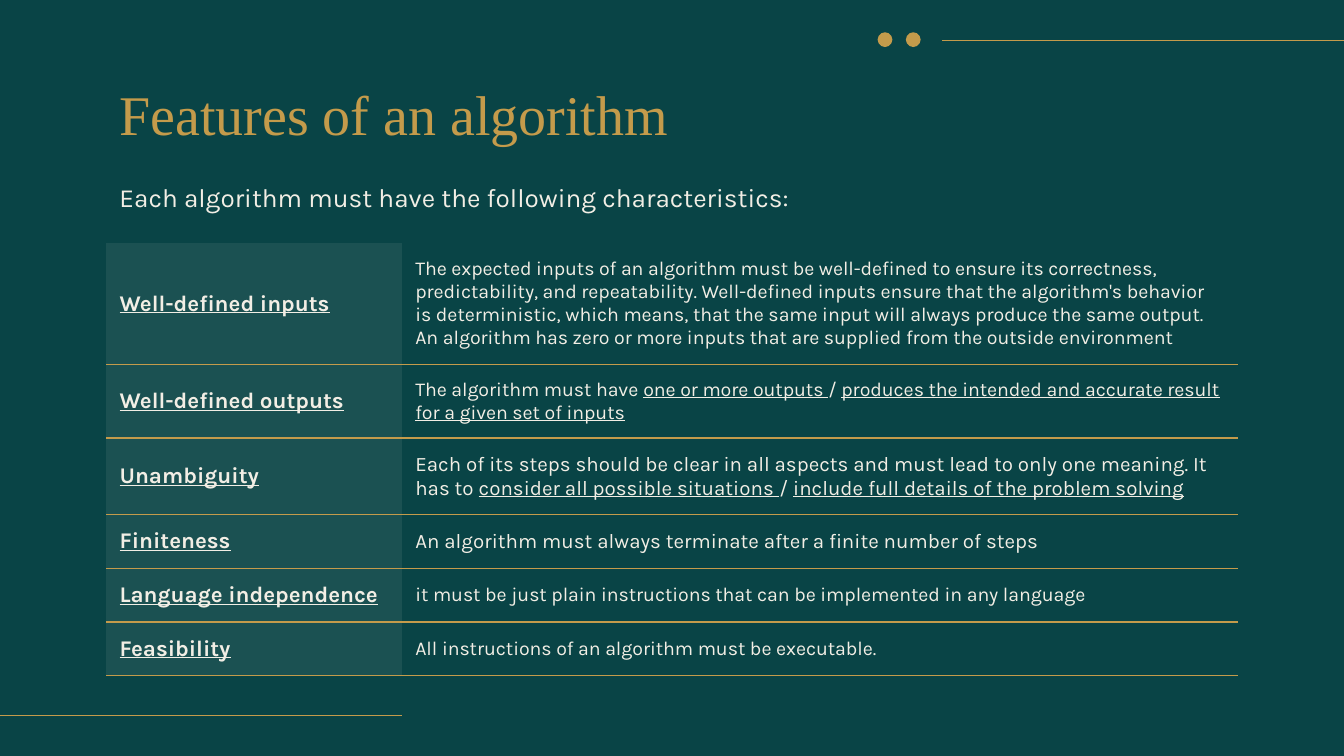
from lxml.etree import SubElement
from pptx import Presentation
from pptx.dml.color import RGBColor
from pptx.enum.shapes import MSO_CONNECTOR, MSO_SHAPE
from pptx.enum.text import MSO_ANCHOR
from pptx.oxml import parse_xml
from pptx.oxml.ns import nsdecls, qn
from pptx.util import Inches, Pt

WIDTH = 10
HEIGHT = WIDTH * 9 / 16
MARGIN = 0.79
CONTENT = WIDTH - 2 * MARGIN
LABEL_WIDTH, ROW_HEIGHT, TABLE_HEIGHT = 2.2, 0.39, 3.22
TEAL, GOLD, CREAM = "094446", "C49B4B", "F2EEE5"
NO_STYLE = "{2D5ABB26-0587-4C30-8999-92F81FD0307C}"
FEATURES = [
    ("Well-defined inputs", 10.5,
     "The expected inputs of an algorithm must be well-defined to ensure its correctness, "
     "predictability, and repeatability. Well-defined inputs ensure that the algorithm's "
     "behavior is deterministic, which means, that the same input will always produce the "
     "same output. An algorithm has zero or more inputs that are supplied from the outside "
     "environment"),
    ("Well-defined outputs", 10.5,
     "The algorithm must have _one or more outputs _/ _produces the intended and accurate "
     "result for a given set of inputs_"),
    ("Unambiguity", 11,
     "Each of its steps should be clear in all aspects and must lead to only one meaning. "
     "It has to _consider all possible situations _/ _include full details of the problem "
     "solving_"),
    ("Finiteness", 11, "An algorithm must always terminate after a finite number of steps"),
    ("Language independence", 10.5,
     "it must be just plain instructions that can be implemented in any language"),
    ("Feasibility", 10.5, "All instructions of an algorithm must be executable."),
]


def rgb(color):
    """Turn a hex string into a colour."""
    return RGBColor.from_string(color)


def add_runs(tf, text, color=CREAM, **formats):
    """Write text into a frame, underlining the parts between underscores."""
    p = tf.paragraphs[0]
    for i, part in enumerate(text.split("_")):
        if part:
            r = p.add_run()
            r.text = part
            r.font.color.rgb = rgb(color)
            values = {"name": "Karla", "bold": False, "underline": i % 2 == 1, **formats}
            for name, value in values.items():
                setattr(r.font, name, value)


def add_text(s, box, text, **formats):
    """Place one line of text in a box."""
    tf = s.shapes.add_textbox(*map(Inches, box)).text_frame
    values = {"word_wrap": True, "vertical_anchor": MSO_ANCHOR.TOP,
              "margin_left": Inches(0.1), "margin_right": Inches(0.1),
              "margin_top": Inches(0.1), "margin_bottom": Inches(0.1)}
    for name, value in values.items():
        setattr(tf, name, value)
    add_runs(tf, text, **formats)


def add_rule(s, left, right, y):
    """Draw a thin gold horizontal line."""
    line = s.shapes.add_connector(MSO_CONNECTOR.STRAIGHT, *map(Inches, (left, y, right, y)))
    line.line.color.rgb = rgb(GOLD)
    line.line.width = Pt(0.75)
    SubElement(line._element.spPr, qn("a:effectLst"))


def add_ornaments(s, width, height):
    """Draw the two edge lines and the pair of dots."""
    inset, length, dot = 0.3, 2.99, 0.11
    add_rule(s, width - length, width, inset)
    add_rule(s, 0, length, height - inset)
    for left in (6.53, 6.74):
        sp = s.shapes.add_shape(MSO_SHAPE.OVAL, *map(Inches, (left, 0.24, dot, dot)))
        sp.shadow.inherit = False
        sp.fill.solid()
        sp.fill.fore_color.rgb = rgb(GOLD)
        sp.line.fill.background()


def format_cell(cell, is_label):
    """Set the insets, fill and bottom border of a cell."""
    for side in ("left", "right", "top", "bottom"):
        setattr(cell, f"margin_{side}", Inches(0.1))
    cell.vertical_anchor = MSO_ANCHOR.MIDDLE
    tc_pr = cell._tc.get_or_add_tcPr()
    if is_label:
        cell.fill.solid()
        cell.fill.fore_color.rgb = rgb(CREAM)
        SubElement(tc_pr.find(".//" + qn("a:srgbClr")), qn("a:alpha"), val="8000")
    else:
        cell.fill.background()
    tc_pr.insert(0, parse_xml(
        f'<a:lnB {nsdecls("a")} w="{Pt(0.75)}"><a:solidFill><a:srgbClr val="{GOLD}"/>'
        "</a:solidFill></a:lnB>"))


def add_features(s, left, top, width, height):
    """Build the table of features and their descriptions."""
    box = map(Inches, (left, top, width, height))
    frame = s.shapes.add_table(len(FEATURES), 2, *box)
    table = frame.table
    table.first_row = table.horz_banding = False
    table._tbl.tblPr.find(qn("a:tableStyleId")).text = NO_STYLE
    for column, column_width in zip(table.columns, (LABEL_WIDTH, width - LABEL_WIDTH)):
        column.width = Inches(column_width)
    for row, (label, size, text) in zip(table.rows, FEATURES):
        row.height = Inches(ROW_HEIGHT)
        name, description = row.cells
        add_runs(name.text_frame, label, size=Pt(12), bold=True, underline=True)
        add_runs(description.text_frame, text, size=Pt(size))
        format_cell(name, True)
        format_cell(description, False)
    frame.height = Inches(height)


def main():
    """Build the slide and save it."""
    prs = Presentation()
    prs.slide_width, prs.slide_height = Inches(WIDTH), Inches(HEIGHT)
    s = prs.slides.add_slide(prs.slide_layouts[6])
    s.background.fill.solid()
    s.background.fill.fore_color.rgb = rgb(TEAL)
    add_ornaments(s, WIDTH, HEIGHT)
    add_text(s, (MARGIN, 0.49, CONTENT, 0.63), "Features of an algorithm",
             color=GOLD, name="Times New Roman", size=Pt(30))
    add_text(s, (MARGIN, 1.25, CONTENT, 0.5),
             "Each algorithm must have the following characteristics:", size=Pt(14))
    add_features(s, MARGIN, 1.81, CONTENT, TABLE_HEIGHT)
    prs.save("out.pptx")


if __name__ == "__main__":
    main()
